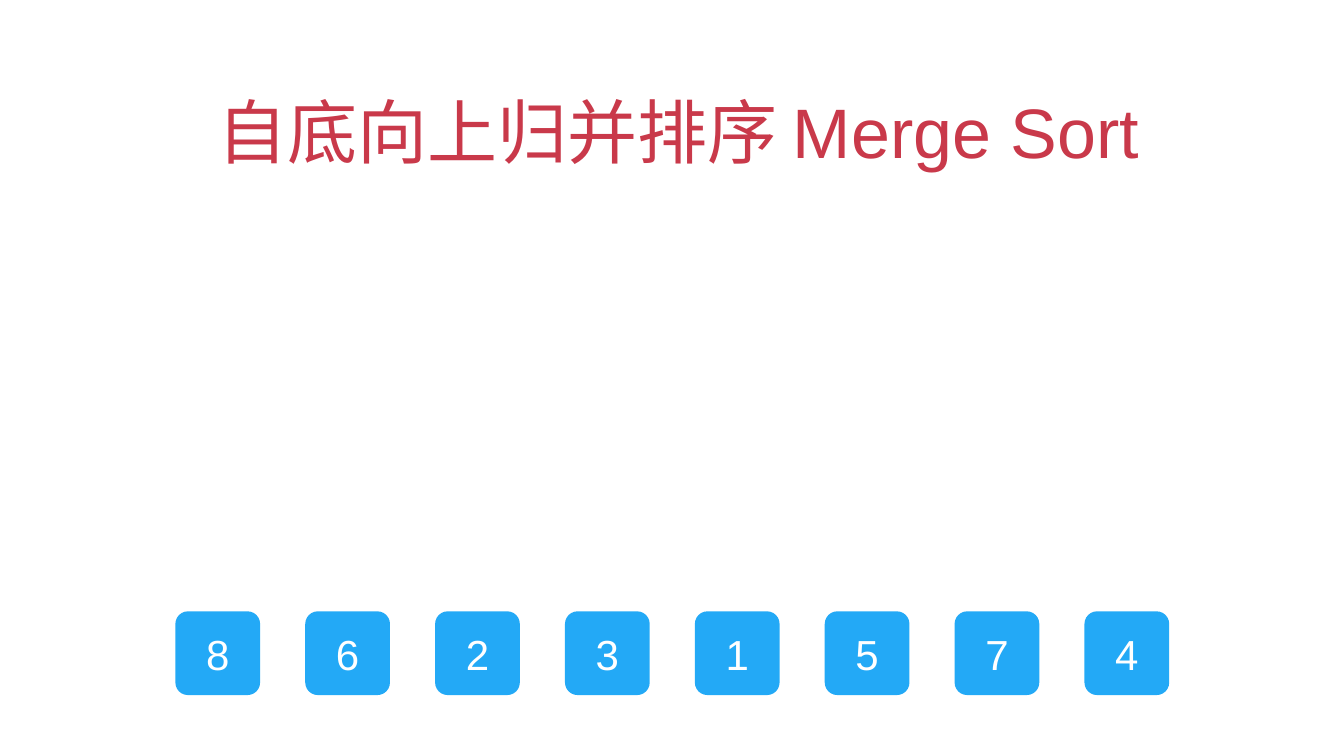
"""Build the bottom-up merge sort slide with its row of unsorted numbers."""
from dataclasses import dataclass

from pptx import Presentation
from pptx.dml.color import RGBColor
from pptx.enum.shapes import MSO_SHAPE as Shape
from pptx.enum.text import MSO_ANCHOR as Anchor, MSO_AUTO_SIZE as AutoSize, PP_ALIGN as Align
from pptx.util import Cm, Pt

TITLE = "自底向上归并排序 Merge Sort"
NUMBERS = [8, 6, 2, 3, 1, 5, 7, 4]


@dataclass(frozen=True)
class Theme:
    font: str = "Arial"
    background: RGBColor = RGBColor(0xFF, 0xFF, 0xFF)
    title_color: RGBColor = RGBColor(0xC9, 0x39, 0x4A)
    tile_fill: RGBColor = RGBColor(0x23, 0xA9, 0xF6)
    tile_text: RGBColor = RGBColor(0xFF, 0xFF, 0xFF)
    title_size: int = 100
    tile_size: int = 60


THEME = Theme()
SLIDE_WIDTH, SLIDE_HEIGHT = 67.74, 38.1
TITLE_BOX = (4.93, 3.23, 57.86, 5.64)
TILE_WIDTH, TILE_HEIGHT, TILE_TOP = 4.27, 4.22, 30.81
FIRST_LEFT, LAST_LEFT = 8.84, 54.66
INSET = 0.15


def write_text(shape, text, *, size, color, anchor, indent=0):
    frame = shape.text_frame
    frame.word_wrap = True
    frame.auto_size = AutoSize.NONE
    frame.vertical_anchor = anchor
    frame.margin_left = frame.margin_right = Cm(INSET)
    frame.margin_top = frame.margin_bottom = Cm(INSET)
    paragraph = frame.paragraphs[0]
    paragraph.alignment = Align.CENTER
    if indent:
        paragraph_properties = paragraph._p.get_or_add_pPr()
        paragraph_properties.set("marL", "0")
        paragraph_properties.set("indent", str(Cm(indent)))
    run = paragraph.add_run()
    run.text = text
    run.font.name = THEME.font
    run.font.size = Pt(size)
    run.font.color.rgb = color


def add_title(slide):
    title = slide.shapes.title
    title.left, title.top, title.width, title.height = map(Cm, TITLE_BOX)
    write_text(title, TITLE, size=THEME.title_size, color=THEME.title_color,
               anchor=Anchor.BOTTOM, indent=0.64)


def add_number_tiles(slide):
    pitch = (LAST_LEFT - FIRST_LEFT) / (len(NUMBERS) - 1)
    for index, number in enumerate(NUMBERS):
        tile = slide.shapes.add_shape(
            Shape.ROUNDED_RECTANGLE, Cm(FIRST_LEFT + index * pitch), Cm(TILE_TOP),
            Cm(TILE_WIDTH), Cm(TILE_HEIGHT))
        tile.adjustments[0] = 0.15
        tile.shadow.inherit = False
        tile.fill.solid()
        tile.fill.fore_color.rgb = THEME.tile_fill
        tile.line.fill.background()
        write_text(tile, str(number), size=THEME.tile_size, color=THEME.tile_text,
                   anchor=Anchor.MIDDLE)


def main():
    presentation = Presentation()
    presentation.slide_width, presentation.slide_height = Cm(SLIDE_WIDTH), Cm(SLIDE_HEIGHT)
    slide = presentation.slides.add_slide(presentation.slide_layouts[5])
    slide.background.fill.solid()
    slide.background.fill.fore_color.rgb = THEME.background
    add_title(slide)
    add_number_tiles(slide)
    presentation.save("out.pptx")


if __name__ == "__main__":
    main()
